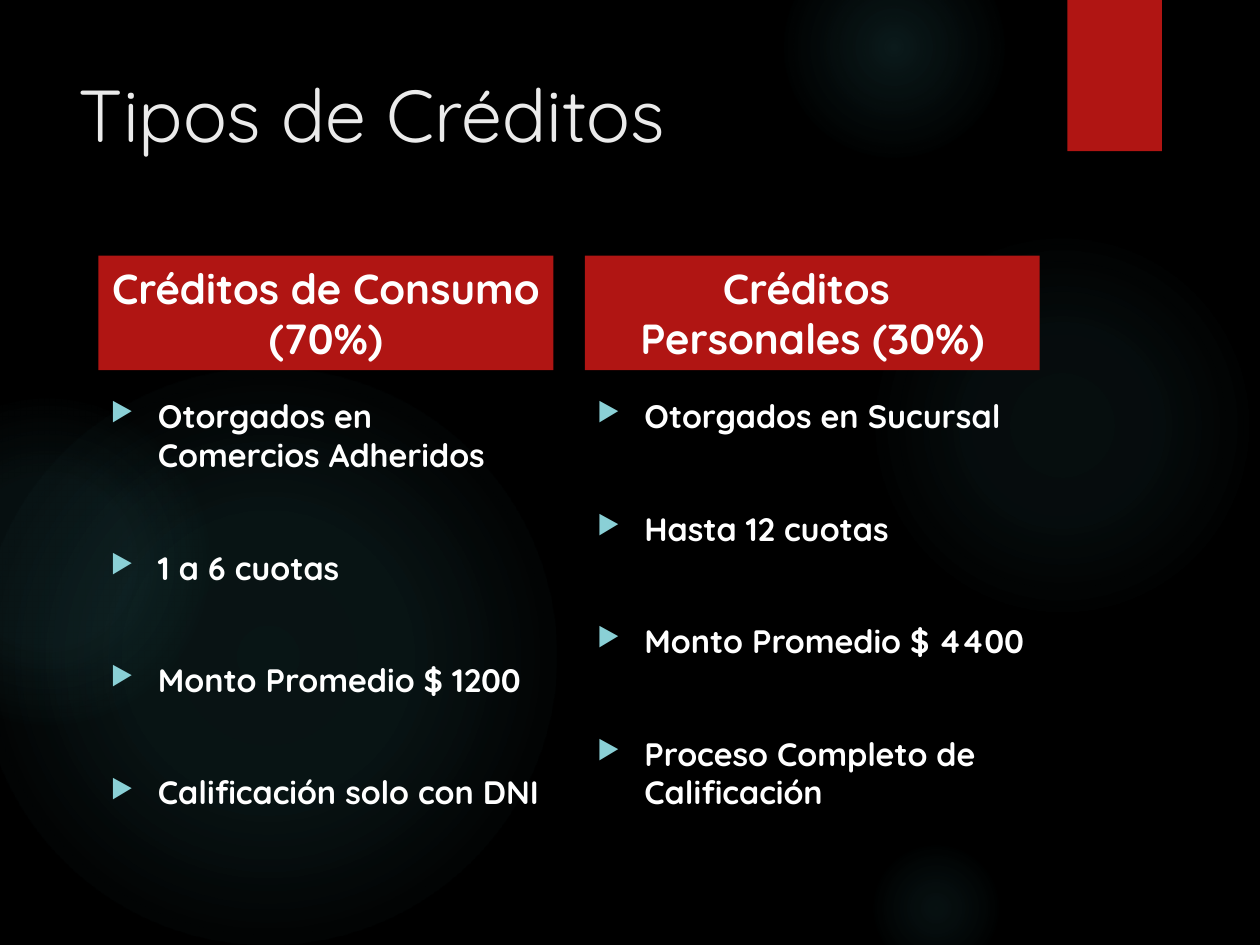
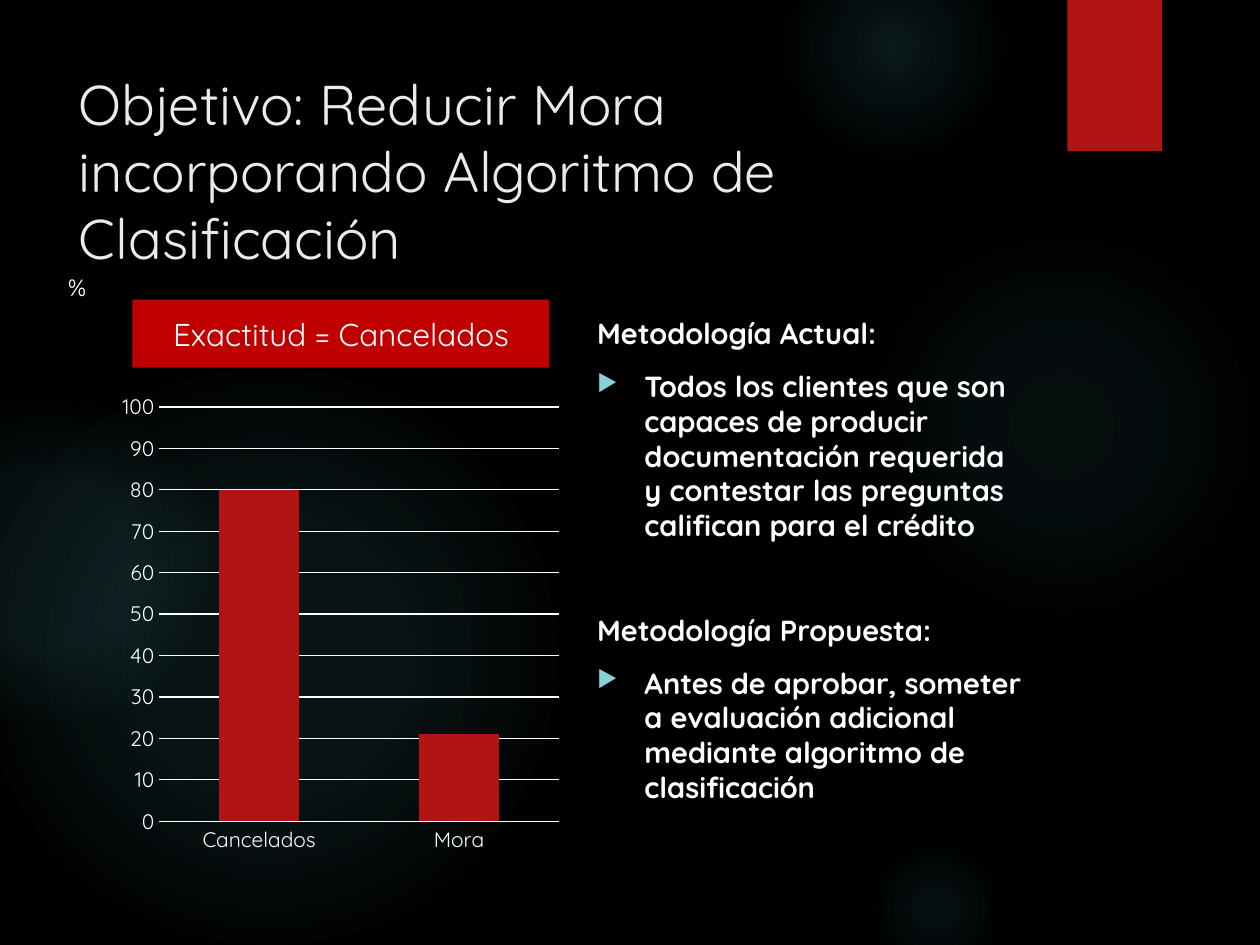
from lxml import etree
from pptx import Presentation
from pptx.chart.data import CategoryChartData
from pptx.dml.color import RGBColor
from pptx.enum.chart import XL_CHART_TYPE, XL_TICK_MARK
from pptx.enum.shapes import MSO_SHAPE
from pptx.enum.text import MSO_ANCHOR, PP_ALIGN
from pptx.oxml import parse_xml
from pptx.oxml.ns import qn
from pptx.util import Pt

RECT, ELLIPSE = MSO_SHAPE.RECTANGLE, MSO_SHAPE.OVAL
TOP, MIDDLE = MSO_ANCHOR.TOP, MSO_ANCHOR.MIDDLE
LEFT, CENTER = PP_ALIGN.LEFT, PP_ALIGN.CENTER
STACKED, NO_TICKS = XL_CHART_TYPE.COLUMN_STACKED, XL_TICK_MARK.NONE

FONT = "Quicksand"
BLACK, WHITE, TITLE_GREY = "000000", "FFFFFF", "EBEBEB"
RED, BRIGHT_RED = "B01513", "C00000"
GLOW, BULLET = "50B9C1", "8AD0D6"
DRAWING_NS = "http://schemas.openxmlformats.org/drawingml/2006/main"

# Shared boxes: left, top, width, height
TITLE_BOX = (38, 36, 556, 110)
TAB_BOX = (610, 0, 54, 86.4)
COLUMN_WIDTH = 260
COLUMN_LEFTS = (56.2, 334.2)
BULLET_INDENT = 27

# Left, top, diameter, (position %, opacity %) stops
GLOWS = [
    (496, 132, 222, [(0, 7), (36, 6), (69, 0)]),
    (448, -36, 126, [(0, 14), (36, 7), (73, 0)]),
    (496, 480, 78, [(0, 9), (36, 5), (66, 0)]),
    (-12, 210, 330, [(0, 11), (36, 10), (75, 0)]),
    (-66, 228, 186, [(0, 8), (36, 8), (72, 0)]),
]

CREDIT_TYPES = [
    (["Créditos de Consumo (70%)"],
     ["Otorgados en Comercios Adheridos", "1 a 6 cuotas",
      "Monto Promedio $ 1200", "Calificación solo con DNI"]),
    (["Créditos ", "Personales (30%)"],
     ["Otorgados en Sucursal", "Hasta 12 cuotas",
      "Monto Promedio $ 4400", "Proceso Completo de Calificación"]),
]

METHODS = [
    ("Metodología Actual:",
     "Todos los clientes que son capaces de producir documentación requerida "
     "y contestar las preguntas califican para el crédito"),
    ("Metodología Propuesta:",
     "Antes de aprobar, someter a evaluación adicional mediante algoritmo de "
     "clasificación"),
]

LOAN_OUTCOMES = {"Cancelados": 80, "Mora": 21}


def color(hex_value):
    return RGBColor.from_string(hex_value)


def points(box):
    return [Pt(length) for length in box]


def apply(target, formats):
    for attribute, value in formats.items():
        setattr(target, attribute, value)


def style_font(font, size, hex_value=WHITE, bold=False):
    apply(font, {"name": FONT, "size": Pt(size), "bold": bold})
    font.color.rgb = color(hex_value)


def style_line(line, hex_value):
    line.color.rgb = color(hex_value)
    line.width = Pt(0.75)


def add_bullet(paragraph):
    properties = paragraph._p.get_or_add_pPr()
    properties.set("marL", str(Pt(BULLET_INDENT)))
    properties.set("indent", str(-Pt(BULLET_INDENT)))
    bullet_color = etree.SubElement(properties, qn("a:buClr"))
    etree.SubElement(bullet_color, qn("a:srgbClr"), val=BULLET)
    etree.SubElement(properties, qn("a:buSzPct"), val="80000")
    etree.SubElement(properties, qn("a:buChar"), char="▶")


def write_text(frame, entries, size, hex_value=WHITE, bold=False,
               align=LEFT, anchor=TOP):
    """Each entry is (text, space before, bulleted)."""
    apply(frame, {"word_wrap": True, "vertical_anchor": anchor})
    for index, (text, space, bulleted) in enumerate(entries):
        paragraph = frame.add_paragraph() if index else frame.paragraphs[0]
        apply(paragraph, {"alignment": align, "space_before": Pt(space)})
        if bulleted:
            add_bullet(paragraph)
        run = paragraph.add_run()
        run.text = text
        style_font(run.font, size, hex_value, bold)


def add_text(slide, box, entries, size, **style):
    frame = slide.shapes.add_textbox(*points(box)).text_frame
    write_text(frame, entries, size, **style)


def add_block(slide, box, fill, kind=RECT):
    block = slide.shapes.add_shape(kind, *points(box))
    block.shadow.inherit = False
    block.line.fill.background()
    block.fill.solid()
    block.fill.fore_color.rgb = color(fill)
    return block


def add_glow(slide, left, top, diameter, stops):
    glow = add_block(slide, (left, top, diameter, diameter), GLOW, ELLIPSE)
    stop_xml = "".join(
        f'<a:gs pos="{position * 1000}"><a:srgbClr val="{GLOW}">'
        f'<a:alpha val="{opacity * 1000}"/></a:srgbClr></a:gs>'
        for position, opacity in stops)
    gradient = parse_xml(
        f'<a:gradFill xmlns:a="{DRAWING_NS}"><a:gsLst>{stop_xml}</a:gsLst>'
        '<a:path path="circle"><a:fillToRect l="50000" t="50000" r="50000" '
        'b="50000"/></a:path></a:gradFill>')
    properties = glow._element.spPr
    properties.replace(properties.find(qn("a:solidFill")), gradient)


def start_slide(deck, title, title_size):
    slide = deck.slides.add_slide(deck.slide_layouts[6])
    background = slide.background.fill
    background.solid()
    background.fore_color.rgb = color(BLACK)
    for glow in GLOWS:
        add_glow(slide, *glow)
    add_block(slide, TAB_BOX, RED)
    add_text(slide, TITLE_BOX, [(title, 0, False)], title_size,
             hex_value=TITLE_GREY)
    return slide


def add_credit_column(slide, box, heading, features):
    left, top, width, height = box
    heading_height, gap = 65.5, 11.5
    header = add_block(slide, (left, top, width, heading_height), RED)
    write_text(header.text_frame, [(line, 0, False) for line in heading], 24,
               bold=True, align=CENTER, anchor=MIDDLE)
    offset = heading_height + gap
    entries = [(feature, 42 if index else 0, True)
               for index, feature in enumerate(features)]
    add_text(slide, (left, top + offset, width, height - offset), entries,
             18.5, bold=True)


def add_outcome_chart(slide, box):
    data = CategoryChartData()
    data.categories = list(LOAN_OUTCOMES)
    data.add_series("Series 1", list(LOAN_OUTCOMES.values()))
    chart = slide.shapes.add_chart(STACKED, *points(box), data).chart
    apply(chart, {"has_legend": False, "has_title": False})
    style_font(chart.font, 10)

    # Axes
    percent_axis, outcome_axis = chart.value_axis, chart.category_axis
    for axis in (percent_axis, outcome_axis):
        apply(axis, {"major_tick_mark": NO_TICKS, "minor_tick_mark": NO_TICKS})
        style_font(axis.tick_labels.font, 12)
    apply(percent_axis, {"minimum_scale": 0, "maximum_scale": 100,
                         "major_unit": 10, "has_major_gridlines": True})
    percent_axis.format.line.fill.background()
    style_line(percent_axis.major_gridlines.format.line, WHITE)
    style_line(outcome_axis.format.line, WHITE)

    # Columns
    plot = chart.plots[0]
    apply(plot, {"gap_width": 150, "overlap": 100, "vary_by_categories": False})
    columns = plot.series[0].format.fill
    columns.solid()
    columns.fore_color.rgb = color(RED)


def add_accuracy_panel(slide, box):
    left, top, width, height = box
    add_outcome_chart(slide, (left + 33, top + 67, width, height - 67))
    add_text(slide, (left, top, 24.5, 24.5), [("%", 0, False)], 13.5,
             align=CENTER)
    banner = add_block(slide, (left + 44, top + 18.7, 238.3, 38.9), BRIGHT_RED)
    write_text(banner.text_frame, [("Exactitud = Cancelados", 0, False)], 18,
               align=CENTER, anchor=MIDDLE)


def add_methods(slide, box):
    entries = []
    for index, (heading, description) in enumerate(METHODS):
        entries.append((heading, 40 if index else 0, False))
        entries.append((description, 10, True))
    add_text(slide, box, entries, 16.6, bold=True)


def build_credit_types(deck):
    slide = start_slide(deck, "Tipos de Créditos", 42)
    for left, (heading, features) in zip(COLUMN_LEFTS, CREDIT_TYPES):
        add_credit_column(slide, (left, 146, COLUMN_WIDTH, 359),
                          heading, features)


def build_objective(deck):
    slide = start_slide(
        deck,
        "Objetivo: Reducir Mora incorporando Algoritmo de Clasificación", 32)
    add_accuracy_panel(slide, (31.7, 152.6, COLUMN_WIDTH, 340))
    add_methods(slide, (COLUMN_LEFTS[1], 177, COLUMN_WIDTH, 315.5))


def main():
    deck = Presentation()
    apply(deck, {"slide_width": Pt(720), "slide_height": Pt(540)})
    build_credit_types(deck)
    build_objective(deck)
    deck.save("out.pptx")


if __name__ == "__main__":
    main()
